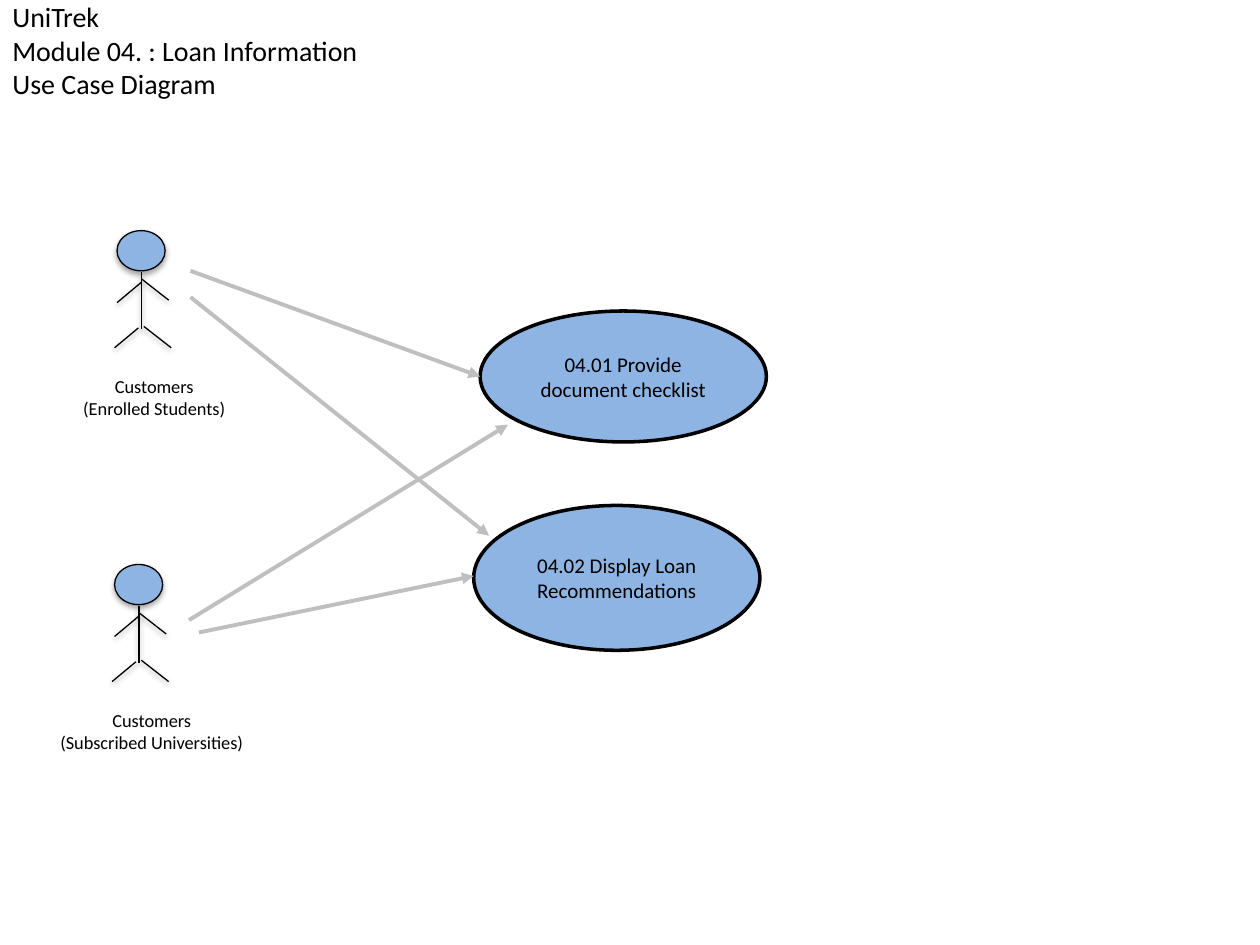
from lxml import etree
from pptx import Presentation
from pptx.dml.color import RGBColor
from pptx.enum.shapes import MSO_CONNECTOR, MSO_SHAPE
from pptx.enum.text import MSO_ANCHOR, MSO_AUTO_SIZE, PP_ALIGN
from pptx.oxml.ns import qn
from pptx.util import Cm, Pt

OVAL = MSO_SHAPE.OVAL
STRAIGHT = MSO_CONNECTOR.STRAIGHT
LEFT, CENTER = PP_ALIGN.LEFT, PP_ALIGN.CENTER
TOP, MIDDLE = MSO_ANCHOR.TOP, MSO_ANCHOR.MIDDLE
GROW = MSO_AUTO_SIZE.SHAPE_TO_FIT_TEXT

FONT = "Calibri"
BLACK, BLUE, GREY = "000000", "8EB4E3", "BFBFBF"
HEAD = (1.75, 0, 0.97, 0.81)
LIMBS = [
    (2.24, 0.84, 2.24, 1.98),
    (2.24, 1.04, 1.75, 1.45),
    (2.18, 1.96, 1.70, 2.36),
    (2.24, 0.97, 2.79, 1.40),
    (2.29, 1.93, 2.84, 2.36),
]
LABEL = (0, 2.79, 5, 1.14)

TITLE = "UniTrek\vModule 04. : Loan Information\vUse Case Diagram"
ACTORS = [
    ((0.61, 4.65), "Customers\n(Enrolled Students)"),
    ((0.56, 11.38), "Customers\n(Subscribed Universities)"),
]
USE_CASES = [
    ((9.68, 6.27, 5.77, 2.64), "04.01 Provide document checklist"),
    ((9.55, 10.19, 5.77, 2.92), "04.02 Display Loan Recommendations"),
]
LINKS = [
    (3.84, 5.46, 9.68, 7.59),
    (3.84, 5.99, 9.86, 10.80),
    (3.81, 12.50, 10.24, 8.56),
    (4.01, 12.75, 9.55, 11.61),
]


def color(value):
    """Return the colour for a hex string."""
    return RGBColor.from_string(value)


def lengths(values, origin=(0, 0)):
    """Convert centimetres to lengths, moving the first pair by the origin."""
    x, y, *rest = values
    return [Cm(v) for v in (x + origin[0], y + origin[1], *rest)]


def set_effect(sp, alpha=0, dist=0):
    """Give a shape a soft downward shadow, or none when alpha is zero."""
    for old in sp._element.spPr.findall(qn("a:effectLst")):
        sp._element.spPr.remove(old)
    effects = etree.SubElement(sp._element.spPr, qn("a:effectLst"))
    if alpha:
        shadow = etree.SubElement(effects, qn("a:outerShdw"), blurRad="40000",
                                  dist=str(dist), dir="5400000", rotWithShape="0")
        tint = etree.SubElement(shadow, qn("a:srgbClr"), val=BLACK)
        etree.SubElement(tint, qn("a:alpha"), val=str(alpha * 1000))


def set_line(sp, value, width):
    """Set the outline colour and width in points."""
    sp.line.color.rgb = color(value)
    sp.line.width = Pt(width)


def write(sp, text, size, align=CENTER, **frame):
    """Fill a shape with uniformly formatted text."""
    tf = sp.text_frame
    tf.text = text
    for name, value in {"word_wrap": True, **frame}.items():
        setattr(tf, name, value)
    fmt = {"size": Pt(size), "name": FONT}
    for p in tf.paragraphs:
        p.alignment = align
        for r in p.runs:
            for name, value in fmt.items():
                setattr(r.font, name, value)
            r.font.color.rgb = color(BLACK)


def add_oval(shapes, box, width):
    """Add a blue oval with a black outline."""
    sp = shapes.add_shape(OVAL, *box)
    sp.fill.solid()
    sp.fill.fore_color.rgb = color(BLUE)
    set_line(sp, BLACK, width)
    set_effect(sp)
    return sp


def add_title(s, box):
    """Add the title, raised by a deep bottom inset."""
    sp = s.shapes.add_textbox(*lengths(box))
    write(sp, TITLE, 16, LEFT, vertical_anchor=MIDDLE, margin_bottom=Cm(0.8))


def add_use_case(s, box, text):
    """Add one use case oval."""
    sp = add_oval(s.shapes, lengths(box), 2)
    write(sp, text, 12, vertical_anchor=MIDDLE)


def add_actor(s, origin, text):
    """Add a grouped stick figure with its label below."""
    shapes = s.shapes.add_group_shape().shapes
    head = add_oval(shapes, lengths(HEAD, origin), 0.75)
    set_effect(head, 35, 23000)
    x, y = origin
    for x1, y1, x2, y2 in LIMBS:
        ends = lengths((x + x1, y + y1, x + x2, y + y2))
        limb = shapes.add_connector(STRAIGHT, *ends)
        set_line(limb, BLACK, 0.75)
        set_effect(limb, 38, 20000)
    label = shapes.add_textbox(*lengths(LABEL, origin))
    write(label, text, 10.5, vertical_anchor=TOP, auto_size=GROW)


def add_link(s, ends):
    """Add a grey arrow from an actor to a use case."""
    link = s.shapes.add_connector(STRAIGHT, *lengths(ends))
    set_line(link, GREY, 2.25)
    etree.SubElement(link.line._get_or_add_ln(), qn("a:tailEnd"), type="triangle")
    set_effect(link)


def main():
    """Build and save the use case diagram."""
    prs = Presentation()
    prs.slide_width, prs.slide_height = Cm(25.4), Cm(19.05)
    s = prs.slides.add_slide(prs.slide_layouts[6])
    add_title(s, (0, 0.61, 11, 1.47))
    for box, text in USE_CASES:
        add_use_case(s, box, text)
    for origin, text in ACTORS:
        add_actor(s, origin, text)
    for ends in LINKS:
        add_link(s, ends)
    prs.save("out.pptx")


if __name__ == "__main__":
    main()
